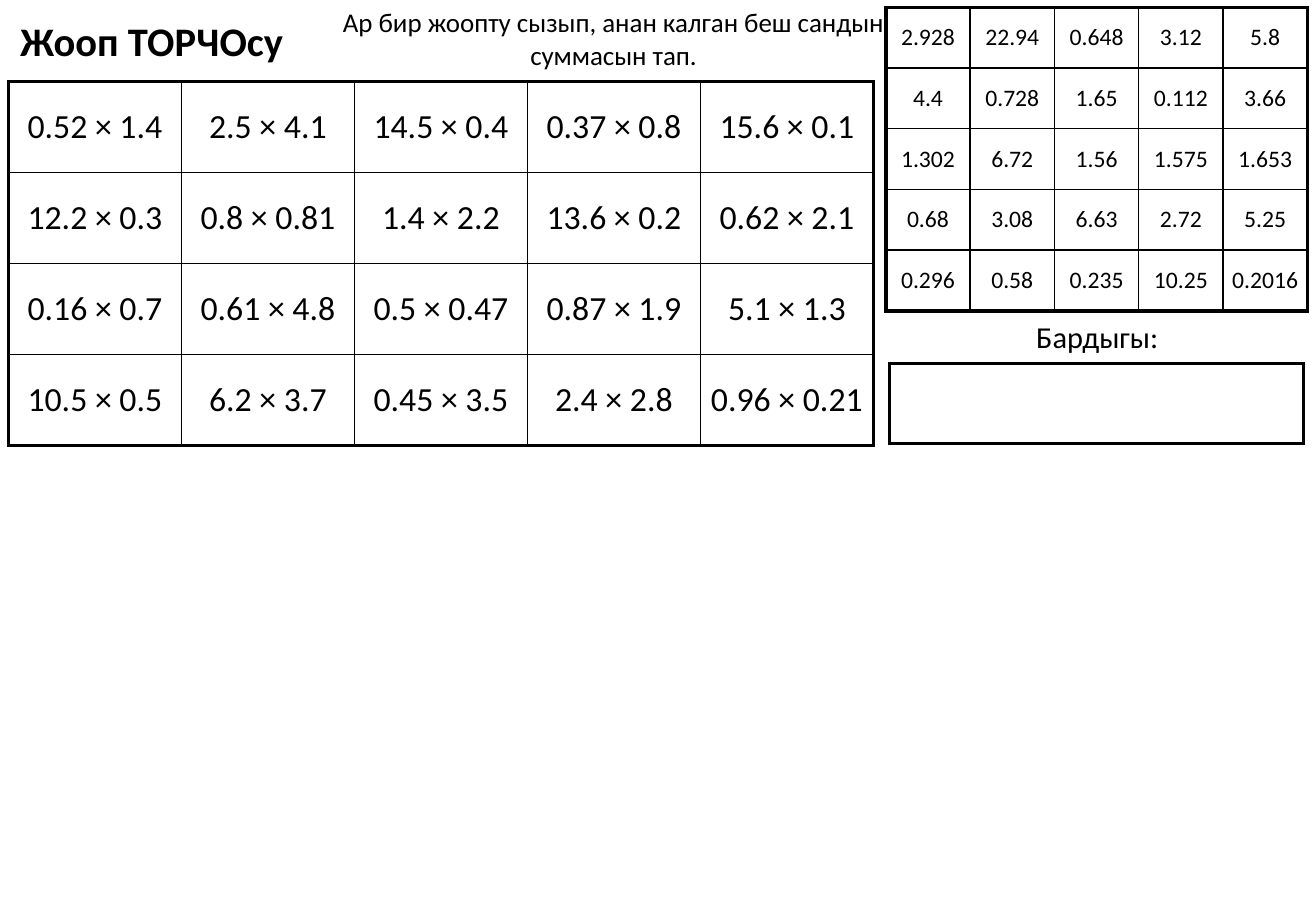
import pptx
import pptx.dml.color
import pptx.enum.text
import pptx.oxml
import pptx.oxml.ns
import pptx.util
from pptx.util import Inches

COLORS = {"ink": "000000", "paper": "FFFFFF"}
ALIGN = pptx.enum.text.PP_ALIGN

ANSWERS = [
    ["2.928", "22.94", "0.648", "3.12", "5.8"],
    ["4.4", "0.728", "1.65", "0.112", "3.66"],
    ["1.302", "6.72", "1.56", "1.575", "1.653"],
    ["0.68", "3.08", "6.63", "2.72", "5.25"],
    ["0.296", "0.58", "0.235", "10.25", "0.2016"],
]
QUESTIONS = [
    ["0.52 × 1.4", "2.5 × 4.1", "14.5 × 0.4", "0.37 × 0.8", "15.6 × 0.1"],
    ["12.2 × 0.3", "0.8 × 0.81", "1.4 × 2.2", "13.6 × 0.2", "0.62 × 2.1"],
    ["0.16 × 0.7", "0.61 × 4.8", "0.5 × 0.47", "0.87 × 1.9", "5.1 × 1.3"],
    ["10.5 × 0.5", "6.2 × 3.7", "0.45 × 3.5", "2.4 × 2.8", "0.96 × 0.21"],
]


class Worksheet:
    font = "Calibri"
    inner_line = 1
    outer_line = 2.25

    def __init__(self, page):
        self.page = page

    def color(self, name):
        return pptx.dml.color.RGBColor.from_string(COLORS[name])

    def add_span(self, para, text, size, align, bold=False):
        para.alignment = align
        span = para.add_run()
        span.text = text
        span.font.name = self.font
        span.font.size = pptx.util.Pt(size)
        span.font.bold = bold
        span.font.color.rgb = self.color("ink")

    def label(self, left, top, width, height, text, size, align=ALIGN.CENTER, bold=False):
        box = self.page.shapes.add_textbox(
            Inches(left), Inches(top), Inches(width), Inches(height))
        frame = box.text_frame
        frame.word_wrap = True
        frame.auto_size = pptx.enum.text.MSO_AUTO_SIZE.SHAPE_TO_FIT_TEXT
        self.add_span(frame.paragraphs[0], text, size, align, bold)

    def border(self, cell, side, points):
        line = pptx.oxml.parse_xml(
            f'<a:ln{side} {pptx.oxml.ns.nsdecls("a")} w="{pptx.util.Pt(points)}">'
            f'<a:solidFill><a:srgbClr val="{COLORS["ink"]}"/></a:solidFill></a:ln{side}>')
        cell._tc.get_or_add_tcPr().append(line)

    def grid(self, left, top, width, height, rows, size=18, inset=0.05):
        last_row, last_column = len(rows) - 1, len(rows[0]) - 1
        table = self.page.shapes.add_table(
            len(rows), len(rows[0]), Inches(left), Inches(top),
            Inches(width), Inches(height)).table
        table.first_row = table.horz_banding = False
        for row, texts in enumerate(rows):
            for column, text in enumerate(texts):
                cell = table.cell(row, column)
                cell.vertical_anchor = pptx.enum.text.MSO_ANCHOR.MIDDLE
                cell.margin_left = cell.margin_right = Inches(inset)
                cell.margin_top = cell.margin_bottom = Inches(inset)
                edges = {"L": column == 0, "R": column == last_column,
                         "T": row == 0, "B": row == last_row}
                for side, outside in edges.items():
                    self.border(cell, side, self.outer_line if outside else self.inner_line)
                cell.fill.solid()
                cell.fill.fore_color.rgb = self.color("paper")
                if text:
                    self.add_span(cell.text_frame.paragraphs[0], text, size, ALIGN.CENTER)


def main():
    deck = pptx.Presentation()
    deck.slide_width, deck.slide_height = Inches(10.83), Inches(7.5)
    sheet = Worksheet(deck.slides.add_slide(deck.slide_layouts[6]))

    # Answers, questions and the empty total field
    sheet.grid(7.29, 0.06, 3.47, 2.5, ANSWERS, size=14, inset=0)
    sheet.grid(0.07, 0.67, 7.12, 3, QUESTIONS, size=20)
    sheet.grid(7.32, 2.99, 3.41, 0.66, [[""]])

    # Total label, instruction and title
    sheet.label(7.37, 2.57, 3.32, 0.4, "Бардыгы:", 18)
    sheet.label(2.52, 0, 5.06, 0.64,
                "Ар бир жоопту сызып, анан калган беш сандын суммасын тап.", 16)
    sheet.label(0.07, 0.08, 4.62, 0.5, "Жооп ТОРЧОсу", 24, ALIGN.LEFT, bold=True)

    deck.save("out.pptx")


if __name__ == "__main__":
    main()
